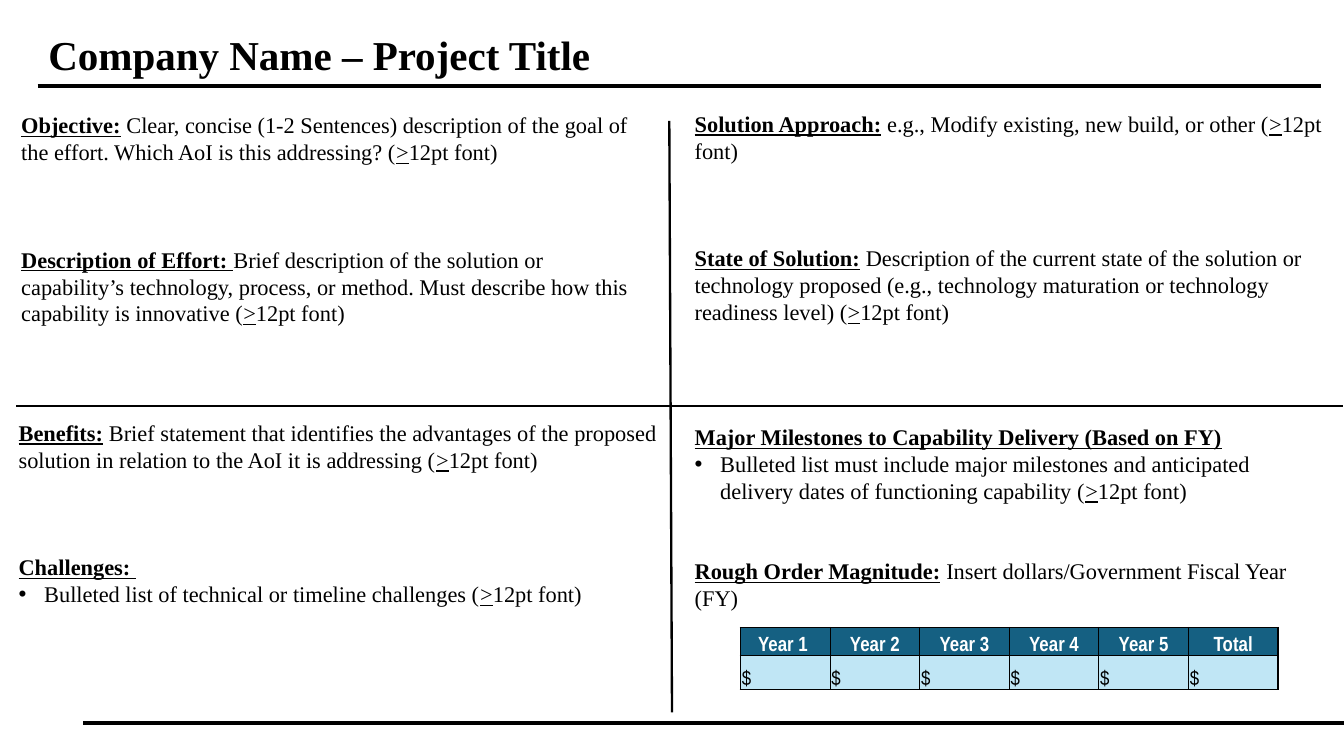
from pptx import Presentation
from pptx.dml.color import RGBColor
from pptx.enum import shapes, text
from pptx.oxml.ns import qn
from pptx.util import Inches, Pt
from lxml import etree

SERIF, NARROW = "Times New Roman", "Arial Narrow"
BLACK, WHITE, HEADER_FILL, COST_FILL = "000000", "FFFFFF", "156082", "C0E6F5"
LINE_PITCH = 14.4  # points, used for the gaps between sections

# Content: each section is heading, space, body, bulleted, ends with the font rule
TITLE = "Company Name – Project Title"
QUADRANTS = [
    ((0.06, 0.78, 4.8, 1.88), 3, [
        ("Objective:", " ", "Clear, concise (1-2 Sentences) description of the goal of the "
         "effort. Which AoI is this addressing? (", False, True),
        ("Description of Effort: ", "", "Brief description of the solution or capability’s "
         "technology, process, or method. Must describe how this capability is innovative (",
         False, True)]),
    ((5.07, 0.77, 4.88, 1.92), 3, [
        ("Solution Approach:", " ", "e.g., Modify existing, new build, or other (", False, True),
        ("State of Solution:", " ", "Description of the current state of the solution or "
         "technology proposed (e.g., technology maturation or technology readiness level) (",
         False, True)]),
    ((0.04, 3.07, 4.98, 1.9), 3, [
        ("Benefits:", " ", "Brief statement that identifies the advantages of the proposed "
         "solution in relation to the AoI it is addressing (", False, True),
        ("Challenges: ", "", "Bulleted list of technical or timeline challenges (", True, True)]),
    ((5.07, 3.1, 4.88, 2.07), 2, [
        ("Major Milestones to Capability Delivery (Based on FY)", "", "Bulleted list must include "
         "major milestones and anticipated delivery dates of functioning capability (",
         True, True),
        ("Rough Order Magnitude:", " ", "Insert dollars/Government Fiscal Year (FY)",
         False, False)]),
]
RULES = [  # from x, from y, to x, to y, points
    (0.28, 0.64, 9.83, 0.64, 2.25),
    (4.98, 0.9, 5, 5.3, 1.25),
    (0.12, 3.02, 9.99, 3.02, 1.25),
    (0.62, 5.38, 10.17, 5.38, 2.25),
]
COST_HEADERS = ["Year 1 ", "Year 2", "Year 3", "Year 4", "Year 5", "Total"]
COSTS = ["$"] * len(COST_HEADERS)


def rgb(code):
    return RGBColor.from_string(code)


def add_run(paragraph, words, size=12, bold=False, underline=False, face=SERIF, color=BLACK):
    run = paragraph.add_run()
    run.text = words
    font = run.font
    font.name, font.size, font.bold, font.underline = face, Pt(size), bold, underline
    font.color.rgb = rgb(color)


def make_bullet(paragraph):
    props = paragraph._p.get_or_add_pPr()
    props.set("marL", str(Inches(0.19)))
    props.set("indent", str(-Inches(0.19)))
    etree.SubElement(props, qn("a:buFont")).set("typeface", "Arial")
    etree.SubElement(props, qn("a:buChar")).set("char", "•")


def add_quadrant(slide, box, gap_lines, sections):
    frame = slide.shapes.add_textbox(*map(Inches, box)).text_frame
    frame.word_wrap = True
    for i, (heading, space, body, bulleted, font_rule) in enumerate(sections):
        paragraph = frame.add_paragraph() if i else frame.paragraphs[0]
        if i:
            paragraph.space_before = Pt(round(gap_lines * LINE_PITCH, 1))
        add_run(paragraph, heading, bold=True, underline=True)
        if space:
            add_run(paragraph, space, bold=True)
        if bulleted:
            paragraph = frame.add_paragraph()
            make_bullet(paragraph)
        add_run(paragraph, body)
        if font_rule:
            add_run(paragraph, ">", underline=True)
            add_run(paragraph, "12pt font)")


def add_rule(slide, x1, y1, x2, y2, width):
    rule = slide.shapes.add_connector(shapes.MSO_CONNECTOR.STRAIGHT,
                                      *map(Inches, (x1, y1, x2, y2)))
    rule.line.color.rgb = rgb(BLACK)
    rule.line.width = Pt(width)
    etree.SubElement(rule._element.spPr, qn("a:effectLst"))


def set_borders(cell, widths):
    props = cell._tc.get_or_add_tcPr()
    for side, width in widths.items():
        border = etree.SubElement(props, qn(f"a:ln{side}"), w=str(Pt(width)))
        fill = etree.SubElement(border, qn("a:solidFill"))
        etree.SubElement(fill, qn("a:srgbClr"), val=BLACK)


def add_cost_table(slide, rows, left, top, width, heights):
    columns = len(rows[0])
    table = slide.shapes.add_table(len(rows), columns, Inches(left), Inches(top),
                                   Inches(width), Inches(sum(heights))).table
    for column in table.columns:
        column.width = Inches(width / columns)
    for r, row in enumerate(rows):
        table.rows[r].height = Inches(heights[r])
        header = r == 0
        for c, words in enumerate(row):
            cell = table.cell(r, c)
            # Outer edges are heavier than inner ones
            outer = {"L": c == 0, "R": c == columns - 1, "T": header, "B": r == len(rows) - 1}
            set_borders(cell, {side: 1 if edge else 0.5 for side, edge in outer.items()})
            cell.fill.solid()
            cell.fill.fore_color.rgb = rgb(HEADER_FILL if header else COST_FILL)
            cell.margin_left = cell.margin_right = cell.margin_top = Inches(0.01)
            cell.margin_bottom = 0
            cell.vertical_anchor = text.MSO_ANCHOR.BOTTOM
            paragraph = cell.text_frame.paragraphs[0]
            paragraph.alignment = text.PP_ALIGN.CENTER if header else text.PP_ALIGN.LEFT
            add_run(paragraph, words, 11, bold=header, face=NARROW,
                    color=WHITE if header else BLACK)


def main():
    deck = Presentation()
    # Widescreen, 16 by 9
    deck.slide_width = Inches(10)
    deck.slide_height = deck.slide_width * 9 // 16
    slide = deck.slides.add_slide(deck.slide_layouts[5])

    # Title
    title = slide.shapes.title
    title.left, title.top, title.width, title.height = map(Inches, (0.26, 0.17, 9.59, 0.47))
    title.text_frame.vertical_anchor = text.MSO_ANCHOR.MIDDLE
    heading = title.text_frame.paragraphs[0]
    heading.alignment = text.PP_ALIGN.LEFT
    add_run(heading, TITLE, 22, bold=True)

    # Rules, quadrants and cost table
    for rule in RULES:
        add_rule(slide, *rule)
    for quadrant in QUADRANTS:
        add_quadrant(slide, *quadrant)
    add_cost_table(slide, [COST_HEADERS, COSTS], 5.51, 4.67, 4, (0.21, 0.25))

    deck.save("out.pptx")


if __name__ == "__main__":
    main()
